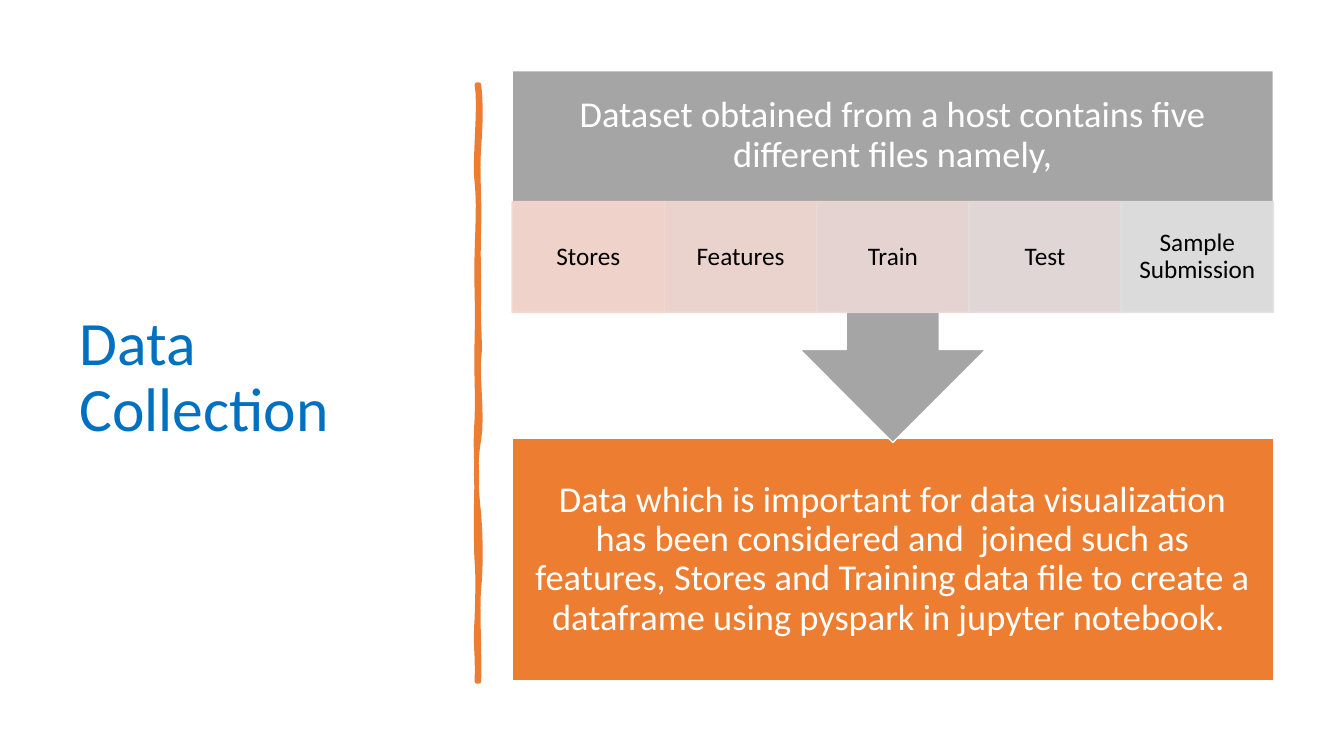
from lxml.etree import SubElement
from pptx import Presentation
from pptx.dml.color import RGBColor
from pptx.enum.shapes import MSO_SHAPE as Preset
from pptx.enum.text import MSO_ANCHOR as Anchor, PP_ALIGN as Align
from pptx.oxml.ns import qn
from pptx.util import Inches, Pt

COLORS = {
    "title": "0070C0", "orange": "ED7D31", "gray": "A5A5A5",
    "white": "FFFFFF", "black": "000000",
    "Stores": "F8D7CE", "Features": "F2D8D2", "Train": "EDD9D7",
    "Test": "E7DCDC", "Sample Submission": "E1E1E1",
}

RIGHT_EDGE = [
    (475, 84), (477, 102), (477, 119), (475, 146), (473, 173), (476, 195),
    (475, 226), (474, 257), (475, 262), (475, 294), (474, 325), (477, 342),
    (475, 356), (473, 370), (479, 414), (475, 436), (471, 457), (472, 484),
    (475, 510), (477, 536), (477, 564), (475, 584), (473, 603), (476, 650),
    (475, 676),
]
LEFT_EDGE = [
    (473, 676), (474, 646), (471, 644), (473, 613), (474, 583), (474, 570),
    (473, 557), (472, 544), (472, 495), (473, 477), (473, 459), (471, 445),
    (473, 415), (474, 386), (472, 373), (473, 335), (474, 298), (472, 281),
    (473, 250), (474, 218), (475, 200), (473, 181), (470, 163), (477, 104),
    (473, 84),
]


def trace_curve(points, steps=8):
    traced = [points[0]]
    for first in range(0, len(points) - 1, 3):
        a, b, c, d = points[first:first + 4]
        for step in range(1, steps + 1):
            t = step / steps
            u = 1 - t
            weights = (u ** 3, 3 * u * u * t, 3 * u * t * t, t ** 3)
            traced.append(tuple(
                sum(w * p[axis] for w, p in zip(weights, (a, b, c, d)))
                for axis in (0, 1)))
    return traced


class Page:
    columns, rows = 1333, 750
    font = "Calibri"

    def __init__(self, deck):
        self.slide = deck.slides.add_slide(deck.slide_layouts[6])
        self.shapes = self.slide.shapes
        self.column = deck.slide_width / self.columns
        self.row = deck.slide_height / self.rows

    def place(self, left, top, width, height):
        return (round(left * self.column), round(top * self.row),
                round(width * self.column), round(height * self.row))

    def paint(self, shape, color, line, weight=1, opacity=None):
        shape.shadow.inherit = False
        shape.fill.solid()
        shape.line.fill.solid()
        shape.line.width = Pt(weight)
        for fill, name in ((shape.fill, color), (shape.line.fill, line)):
            fill.fore_color.rgb = RGBColor.from_string(COLORS[name])
        if opacity:
            for tone in shape._element.spPr.iter(qn("a:srgbClr")):
                SubElement(tone, qn("a:alpha")).set("val", str(opacity * 1000))

    def label(self, shape, text, size, color, insets, align=Align.CENTER):
        frame = shape.text_frame
        frame.word_wrap = True
        frame.vertical_anchor = Anchor.MIDDLE
        side, edge = insets
        frame.margin_left = frame.margin_right = Inches(side)
        frame.margin_top = frame.margin_bottom = Inches(edge)
        para = frame.paragraphs[0]
        para.text = text
        para.alignment = align
        para.line_spacing = 0.9
        para.font.name = self.font
        para.font.size = Pt(size)
        para.font.color.rgb = RGBColor.from_string(COLORS[color])

    def text(self, area, *style):
        self.label(self.shapes.add_textbox(*self.place(*area)), *style)

    def block(self, preset, area, color, line, opacity=None):
        shape = self.shapes.add_shape(preset, *self.place(*area))
        self.paint(shape, color, line, opacity=opacity)
        return shape

    def outline(self, points, color, weight):
        scaled = [(x * self.column, y * self.row) for x, y in points]
        builder = self.shapes.build_freeform(*scaled[0], scale=1.0)
        builder.add_line_segments(scaled[1:], close=True)
        self.paint(builder.convert_to_shape(), color, color, weight)


def main():
    deck = Presentation()
    deck.slide_width, deck.slide_height = Inches(13.33), Inches(7.5)
    page = Page(deck)

    page.text((69, 70, 374, 611), "Data Collection", 44, "title",
              (0.1, 0.05), Align.LEFT)
    page.outline(trace_curve(RIGHT_EDGE) + trace_curve(LEFT_EDGE),
                 "orange", 3.25)

    left, width = 508, 755
    roomy, tight = (0.2, 0.2), (0.14, 0.03)
    result = page.block(Preset.RECTANGLE, (left, 435, width, 240),
                        "orange", "white")
    page.label(result, "Data which is important for data visualization has "
               "been considered and  joined such as features, Stores and "
               "Training data file to create a dataframe using pyspark in "
               "jupyter notebook. ", 26, "white", roomy)
    page.block(Preset.DOWN_ARROW_CALLOUT, (left, 70, width, 369),
               "gray", "white")
    page.text((left, 70, width, 129), "Dataset obtained from a host contains "
              "five different files namely,", 26, "white", roomy)

    files = ["Stores", "Features", "Train", "Test", "Sample Submission"]
    cell = width / len(files)
    for index, name in enumerate(files):
        shape = page.block(Preset.RECTANGLE,
                           (left + index * cell, 200, cell, 110),
                           name, name, 90)
        page.label(shape, name, 18, "black", tight)

    deck.save("out.pptx")


if __name__ == "__main__":
    main()
